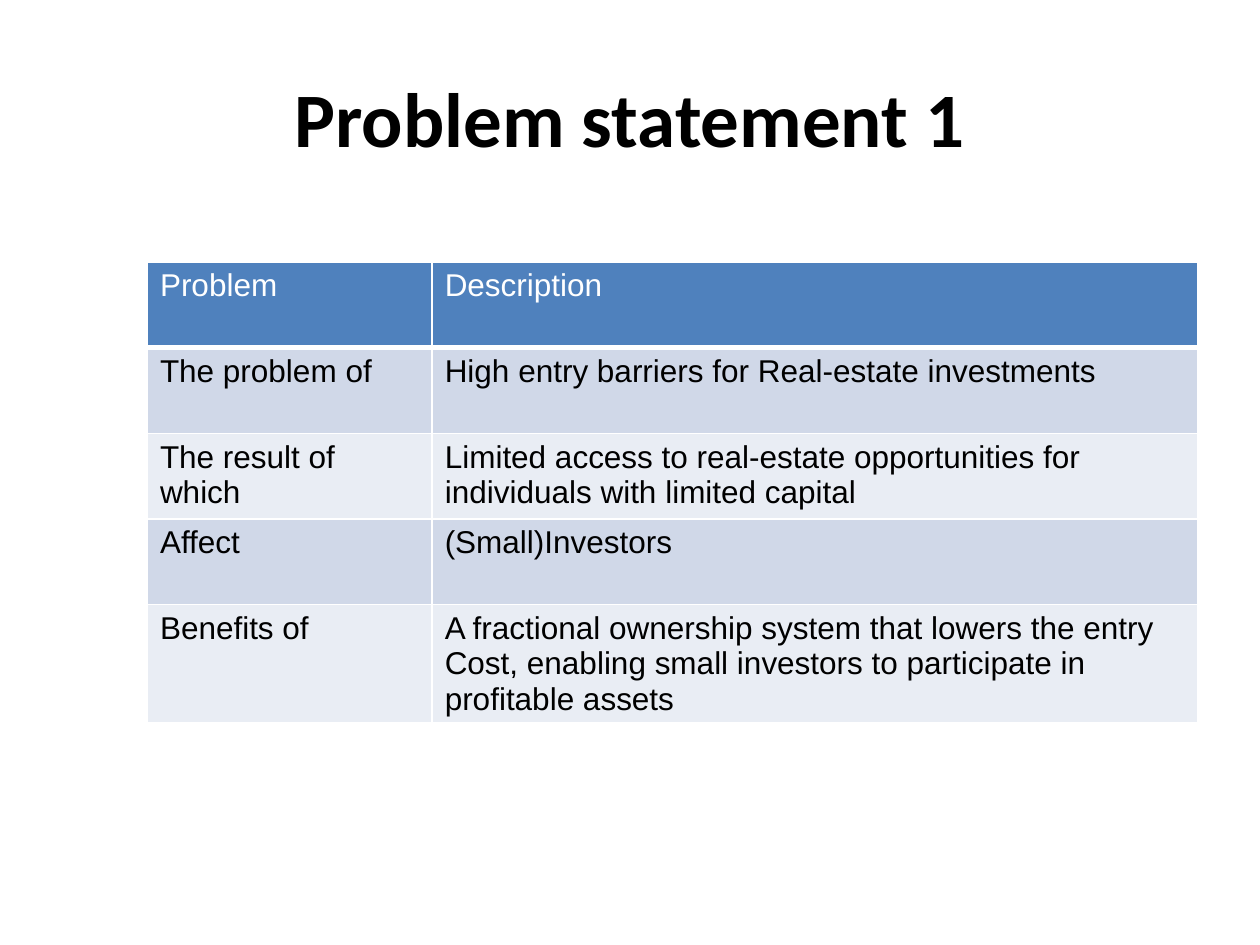
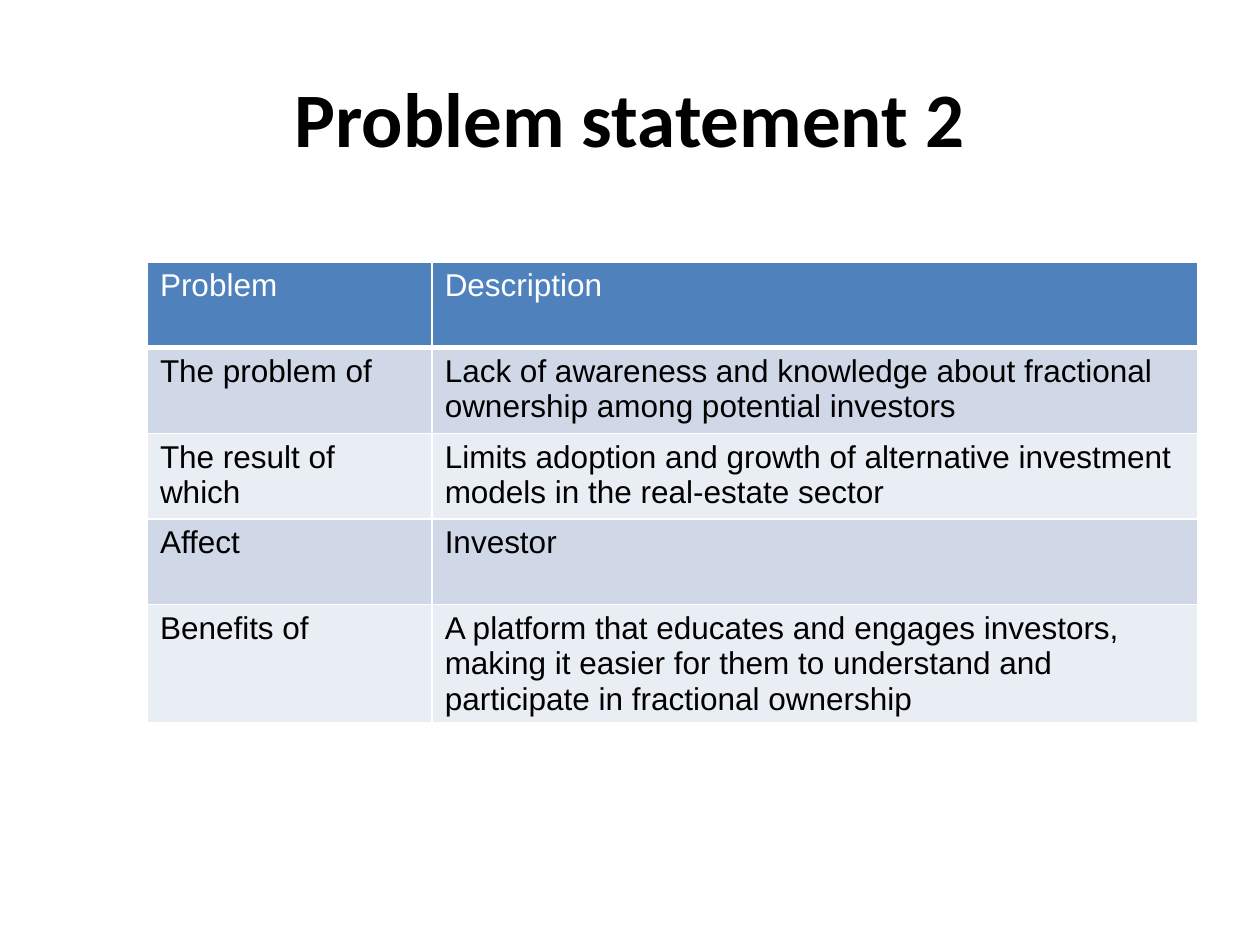
from dataclasses import dataclass

from lxml.etree import SubElement
from pptx import Presentation
from pptx.dml.color import RGBColor as RGB
from pptx.enum.text import MSO_ANCHOR as Anchor, PP_ALIGN as Align
from pptx.oxml.ns import qn
from pptx.util import Inches, Pt


@dataclass(frozen=True)
class Theme:
    ink: str = "000000"
    paper: str = "FFFFFF"
    header: str = "4F81BD"
    bands: tuple = ("D0D8E8", "E9EDF4")
    title_font: str = "Calibri"
    table_font: str = "Arial"
    title_size: int = 44
    table_size: int = 18
    rule: int = 1
    header_rule: int = 3


HEADINGS = ("Problem", "Description")
ROW_LABELS = ("The problem of", "The result of which", "Affect", "Benefits of")
STATEMENTS = {
    "Problem statement 1": (
        "High entry barriers for Real-estate investments",
        "Limited access to real-estate opportunities for individuals with limited capital",
        "(Small)Investors",
        "A fractional ownership system that lowers the entry Cost, enabling small "
        "investors to participate in profitable assets",
    ),
    "Problem statement 2": (
        "Lack of awareness and knowledge about fractional ownership among potential investors",
        "Limits adoption and growth of alternative investment models in the real-estate sector",
        "Investor",
        "A platform that educates and engages investors, making it easier for them to "
        "understand and participate in fractional ownership",
    ),
}


class Deck:
    """Holds the theme and the slide being built."""

    def __init__(self, theme):
        self.theme = theme
        self.prs = Presentation()
        self.prs.slide_width, self.prs.slide_height = Inches(10), Inches(7.5)
        self.slide = None

    def add_slide(self):
        self.slide = self.prs.slides.add_slide(self.prs.slide_layouts[5])
        background = self.slide.background.fill
        background.solid()
        background.fore_color.rgb = RGB.from_string(self.theme.paper)

    def add_text(self, frame, text, color, **formats):
        run = frame.paragraphs[0].add_run()
        run.text = text
        run.font.color.rgb = RGB.from_string(color)
        for name, value in formats.items():
            setattr(run.font, name, value)

    def title(self, text):
        heading = self.slide.shapes.title
        place = {"left": 0.5, "top": 0.3, "width": 9, "height": 1.25}
        for name, value in place.items():
            setattr(heading, name, Inches(value))
        frame = heading.text_frame
        frame.vertical_anchor = Anchor.MIDDLE
        self.add_text(frame, text, self.theme.ink, name=self.theme.title_font,
                      size=Pt(self.theme.title_size), bold=True)
        frame.paragraphs[0].alignment = Align.CENTER

    def borders(self, cell, bottom):
        properties = cell._tc.get_or_add_tcPr()
        widths = dict.fromkeys(("lnL", "lnR", "lnT"), self.theme.rule) | {"lnB": bottom}
        for side, width in widths.items():
            line = SubElement(properties, qn(f"a:{side}"), w=str(int(Pt(width))))
            fill = SubElement(line, qn("a:solidFill"))
            SubElement(fill, qn("a:srgbClr"), val=self.theme.paper)

    def cell(self, cell, text, row):
        theme = self.theme
        is_header = row == 0
        self.borders(cell, theme.header_rule if is_header else theme.rule)
        cell.fill.solid()
        band = theme.header if is_header else theme.bands[(row - 1) % 2]
        cell.fill.fore_color.rgb = RGB.from_string(band)
        self.add_text(cell.text_frame, text, theme.paper if is_header else theme.ink,
                      name=theme.table_font, size=Pt(theme.table_size), bold=False)

    def table(self, rows, left, top, widths, row_height):
        table = self.slide.shapes.add_table(
            len(rows), len(widths), Inches(left), Inches(top),
            Inches(sum(widths)), Inches(row_height * len(rows))).table
        for column, width in zip(table.columns, widths):
            column.width = Inches(width)
        for r, texts in enumerate(rows):
            for c, text in enumerate(texts):
                self.cell(table.cell(r, c), text, r)


def main():
    deck = Deck(Theme())
    # One slide per problem statement
    for statement, descriptions in STATEMENTS.items():
        deck.add_slide()
        deck.title(statement)
        deck.table([HEADINGS, *zip(ROW_LABELS, descriptions)],
                   left=1.17, top=2.08, widths=(2.26, 6.08), row_height=0.68)
    deck.prs.save("out.pptx")


if __name__ == "__main__":
    main()
